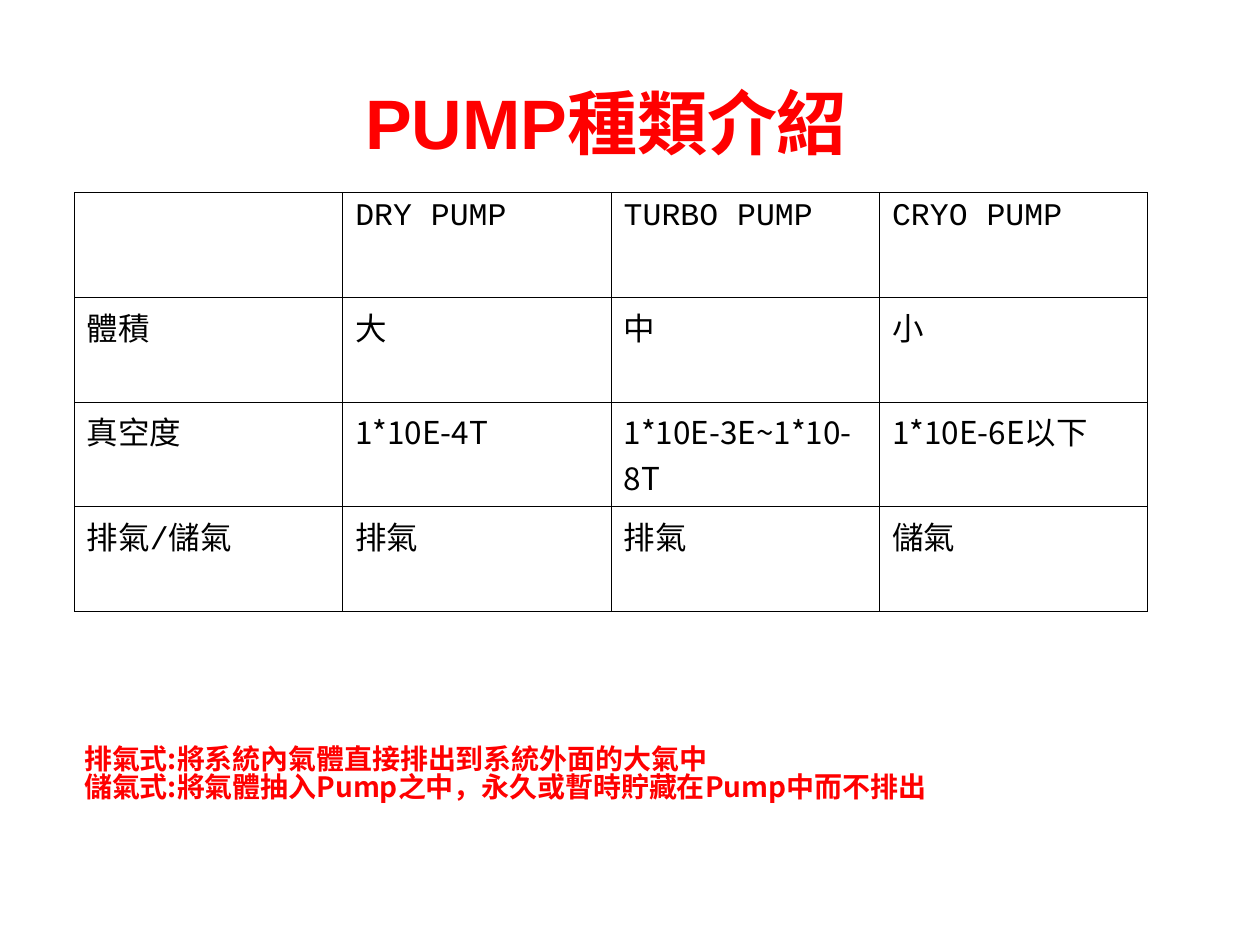
from dataclasses import dataclass

import pptx
import pptx.dml.color
import pptx.enum.text
import pptx.oxml
import pptx.oxml.ns
import pptx.util


@dataclass(frozen=True)
class Theme:
    accent: str = "FF0000"
    ink: str = "000000"
    title_font: str = "Arial"
    label_font: str = "Courier New"
    chinese_font: str = "Noto Sans CJK SC"
    title_size: int = 40
    table_size: int = 18
    note_size: int = 16
    border_width: float = 0.45


@dataclass(frozen=True)
class Style:
    font: str
    size: int
    color: str
    bold: bool = False


@dataclass(frozen=True)
class TextBlock:
    """Box as shares of the slide's width and height."""
    left: float
    top: float
    width: float
    height: float
    lines: tuple[str, ...]
    style: Style
    spacing: float


THEME = Theme()
SLIDE_WIDTH = pptx.util.Inches(10)
SLIDE_HEIGHT = pptx.util.Inches(7.5)
TABLE_LEFT, TABLE_TOP = pptx.util.Inches(0.59), pptx.util.Inches(1.53)
COLUMN_WIDTH, ROW_HEIGHT = pptx.util.Inches(2.13), pptx.util.Inches(0.83)

LABEL_STYLE = Style(THEME.label_font, THEME.table_size, THEME.ink)
VACUUM_STYLE = Style(THEME.chinese_font, THEME.table_size, THEME.ink)
VACUUM_ROW = 2

PUMP_ROWS = (
    ("", "DRY PUMP", "TURBO PUMP", "CRYO PUMP"),
    ("體積", "大", "中", "小"),
    ("真空度", "1*10E-4T", "1*10E-3E~1*10-8T", "1*10E-6E以下"),
    ("排氣/儲氣", "排氣", "排氣", "儲氣"),
)

TITLE = TextBlock(
    0.28, 0.09, 0.48, 0.1, ("PUMP種類介紹",),
    Style(THEME.title_font, THEME.title_size, THEME.accent, True), 0.87)
NOTES = TextBlock(
    0.057, 0.784, 0.773, 0.085,
    ("排氣式:將系統內氣體直接排出到系統外面的大氣中",
     "儲氣式:將氣體抽入Pump之中，永久或暫時貯藏在Pump中而不排出"),
    Style(THEME.chinese_font, THEME.note_size, THEME.accent, True), 0.84)


def add_run(paragraph, text: str, style: Style) -> None:
    run = paragraph.add_run()
    run.text = text
    font = run.font
    font.name, font.size, font.bold = style.font, pptx.util.Pt(style.size), style.bold
    font.color.rgb = pptx.dml.color.RGBColor.from_string(style.color)
    # The East Asian typeface follows the Latin one
    latin = font._element.find(pptx.oxml.ns.qn("a:latin"))
    latin.addnext(pptx.oxml.parse_xml(
        f'<a:ea {pptx.oxml.ns.nsdecls("a")} typeface="{THEME.chinese_font}"/>'))


def add_text_block(slide, block: TextBlock) -> None:
    shape = slide.shapes.add_textbox(
        int(block.left * SLIDE_WIDTH), int(block.top * SLIDE_HEIGHT),
        int(block.width * SLIDE_WIDTH), int(block.height * SLIDE_HEIGHT))
    frame = shape.text_frame
    frame.word_wrap = True
    for index, line in enumerate(block.lines):
        paragraph = frame.add_paragraph() if index else frame.paragraphs[0]
        paragraph.line_spacing = block.spacing
        add_run(paragraph, line, block.style)


def set_borders(cell) -> None:
    properties = cell._tc.get_or_add_tcPr()
    width = pptx.util.Pt(THEME.border_width)
    for position, side in enumerate(("lnL", "lnR", "lnT", "lnB")):
        properties.insert(position, pptx.oxml.parse_xml(
            f'<a:{side} {pptx.oxml.ns.nsdecls("a")} w="{width}"><a:solidFill>'
            f'<a:srgbClr val="{THEME.ink}"/></a:solidFill></a:{side}>'))


def add_pump_table(slide) -> None:
    row_count, column_count = len(PUMP_ROWS), len(PUMP_ROWS[0])
    table = slide.shapes.add_table(
        row_count, column_count, TABLE_LEFT, TABLE_TOP,
        column_count * COLUMN_WIDTH, row_count * ROW_HEIGHT).table
    table.first_row = table.horz_banding = False
    for column in table.columns:
        column.width = COLUMN_WIDTH
    for row_index, texts in enumerate(PUMP_ROWS):
        table.rows[row_index].height = ROW_HEIGHT
        for column_index, text in enumerate(texts):
            cell = table.cell(row_index, column_index)
            cell.fill.background()
            set_borders(cell)
            is_vacuum_value = row_index == VACUUM_ROW and column_index > 0
            if text:
                add_run(cell.text_frame.paragraphs[0], text,
                        VACUUM_STYLE if is_vacuum_value else LABEL_STYLE)


def main() -> None:
    presentation = pptx.Presentation()
    presentation.slide_width, presentation.slide_height = SLIDE_WIDTH, SLIDE_HEIGHT
    slide = presentation.slides.add_slide(presentation.slide_layouts[6])

    # Title, comparison table, definitions
    add_text_block(slide, TITLE)
    add_pump_table(slide)
    add_text_block(slide, NOTES)

    presentation.save("out.pptx")


if __name__ == "__main__":
    main()
